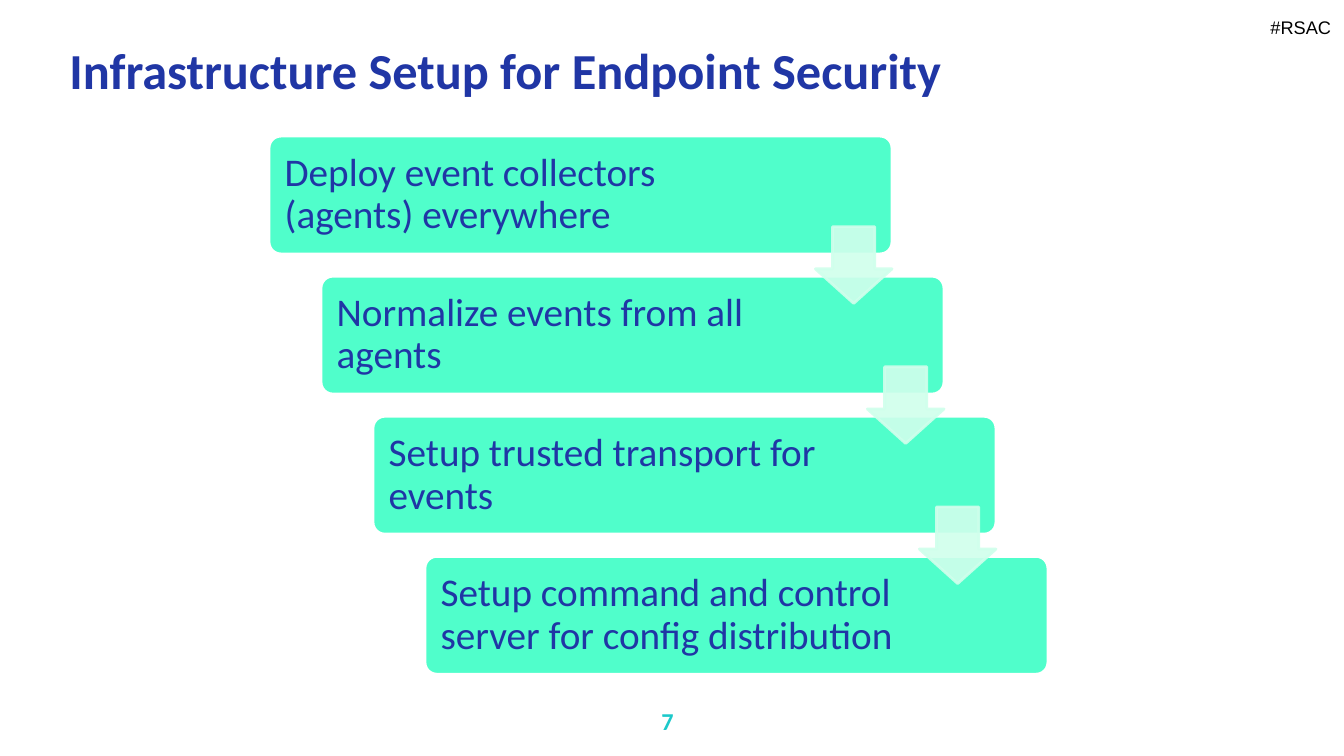
from lxml import etree
from pptx import Presentation
from pptx.dml.color import RGBColor
from pptx.enum import shapes, text
from pptx.oxml.ns import qn
from pptx.util import Cm, Pt

NAVY = RGBColor(0x20, 0x36, 0xA5)
TEAL = RGBColor(0x1C, 0xC9, 0xCA)
MINT = RGBColor(0x50, 0xFE, 0xCB)
PALE = RGBColor(0xD0, 0xFF, 0xEC)
WHITE = RGBColor(0xFF, 0xFF, 0xFF)
BLACK = RGBColor(0, 0, 0)

STEPS = (
    "Deploy event collectors (agents) everywhere",
    "Normalize events from all agents",
    "Setup trusted transport for events",
    "Setup command and control server for config distribution",
)
LEFT, TOP = 6.78, 3.43
WIDTH, HEIGHT = 15.7, 2.97
SHIFT, DROP = 1.31, 3.53
ARROW = 1.93


def place(shape, left, top, width, height):
    shape.left, shape.top = Cm(left), Cm(top)
    shape.width, shape.height = Cm(width), Cm(height)


def write(shape, words, size, color, font="Calibri", bold=False,
          align=text.PP_ALIGN.LEFT, space=1.0, pads=(0, 0), wrap=True):
    """Fill a shape with one paragraph; pads are the left and right insets."""
    frame = shape.text_frame
    frame.word_wrap = wrap
    frame.auto_size = text.MSO_AUTO_SIZE.NONE
    frame.vertical_anchor = text.MSO_ANCHOR.MIDDLE
    frame.margin_left, frame.margin_right = Cm(pads[0]), Cm(pads[1])
    frame.margin_top = frame.margin_bottom = 0
    para = frame.paragraphs[0]
    para.alignment = align
    para.line_spacing = space
    run = para.add_run()
    run.text = words
    run.font.name = font
    run.font.size = Pt(size)
    run.font.bold = bold
    run.font.color.rgb = color


def add_label(slide, words, area, size, color, **style):
    box = slide.shapes.add_textbox(*map(Cm, area))
    write(box, words, size, color, align=text.PP_ALIGN.CENTER, **style)


def add_block(slide, kind, area, fill, line):
    block = slide.shapes.add_shape(kind, *map(Cm, area))
    block.shadow.inherit = False
    block.fill.solid()
    block.fill.fore_color.rgb = fill
    block.line.color.rgb = line
    block.line.width = Pt(2)
    return block


def add_step(slide, index, words):
    area = (LEFT + index * SHIFT, TOP + index * DROP, WIDTH, HEIGHT)
    step = add_block(slide, shapes.MSO_SHAPE.ROUNDED_RECTANGLE, area,
                     MINT, WHITE)
    step.adjustments[0] = 0.1
    write(step, words, 28, NAVY, space=0.9, pads=(0.31, 3.6))


def add_arrow(slide, index):
    """Link a step to the next with a slightly see-through arrow."""
    left = LEFT + WIDTH - ARROW + index * SHIFT
    top = TOP + (HEIGHT + DROP - ARROW) / 2 + index * DROP
    arrow = add_block(slide, shapes.MSO_SHAPE.DOWN_ARROW,
                      (left, top, ARROW, ARROW), PALE, PALE)
    arrow.adjustments[0] = 0.55
    arrow.adjustments[1] = 0.45
    for color in arrow.element.spPr.iter(qn("a:srgbClr")):
        etree.SubElement(color, qn("a:alpha"), val="90000")


def main():
    deck = Presentation()
    deck.slide_width, deck.slide_height = Cm(33.87), Cm(19.05)
    slide = deck.slides.add_slide(deck.slide_layouts[5])

    title = slide.shapes.title
    place(title, 1.75, 0.3, 29.69, 3.15)
    write(title, "Infrastructure Setup for Endpoint Security", 36, NAVY,
          bold=True, space=0.85)
    add_label(slide, "#RSAC", (31.93, 0.41, 1.7, 0.56), 13, BLACK,
              font="Arial", wrap=False)
    add_label(slide, "7", (14.88, 17.65, 3.89, 1.02), 17.3, TEAL, bold=True)

    for index, words in enumerate(STEPS):
        add_step(slide, index, words)
    for index in range(len(STEPS) - 1):
        add_arrow(slide, index)

    deck.save("out.pptx")


if __name__ == "__main__":
    main()
